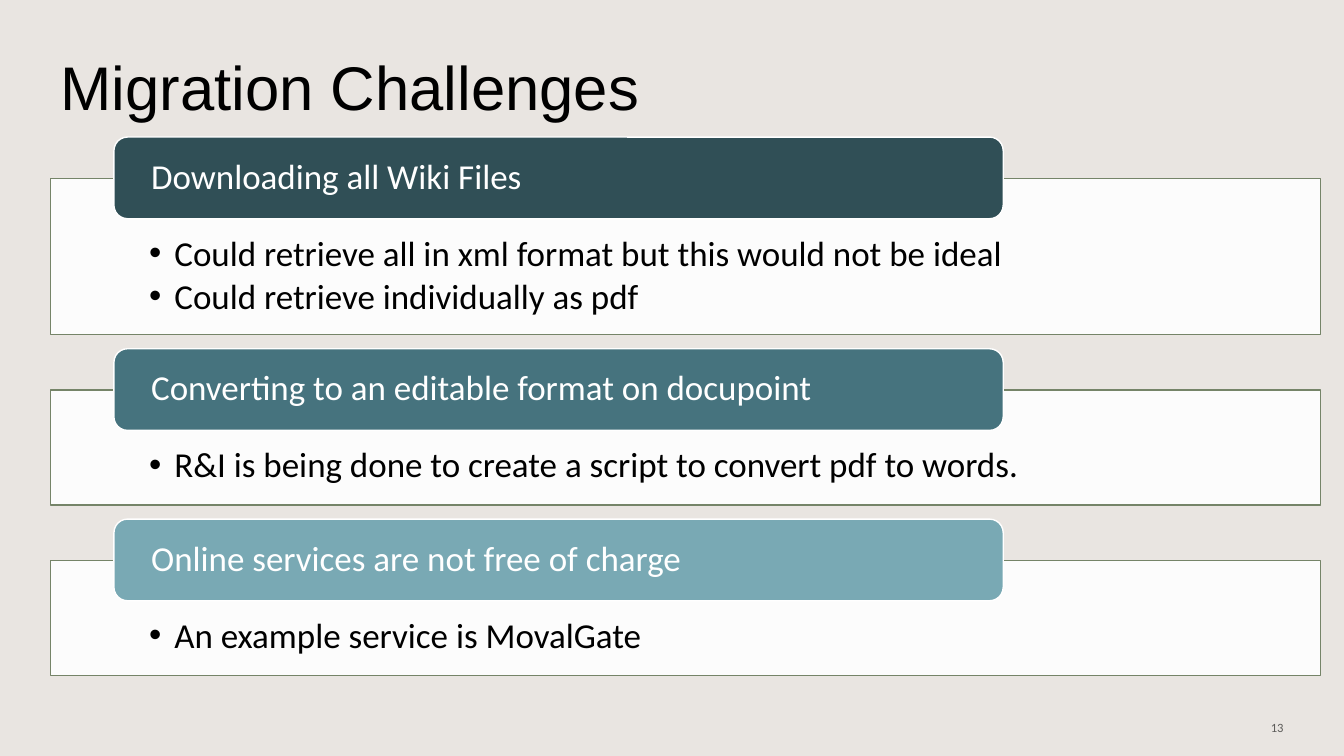
import pptx
import pptx.dml.color
import pptx.enum.shapes
import pptx.enum.text
import pptx.oxml
import pptx.oxml.ns
import pptx.util

RGBColor = pptx.dml.color.RGBColor
Inches = pptx.util.Inches
Pt = pptx.util.Pt
Shape = pptx.enum.shapes.MSO_SHAPE
Align = pptx.enum.text.PP_ALIGN
Anchor = pptx.enum.text.MSO_ANCHOR

SAND = RGBColor(0xE9, 0xE5, 0xE1)
WHITE = RGBColor(0xFF, 0xFF, 0xFF)
BLACK = RGBColor(0, 0, 0)
GREY = RGBColor(0x5D, 0x5C, 0x5A)
SAGE = RGBColor(0x75, 0x84, 0x68)
DARK_TEAL = RGBColor(0x30, 0x4F, 0x56)
TEAL = RGBColor(0x46, 0x73, 0x7E)
LIGHT_TEAL = RGBColor(0x79, 0xA9, 0xB4)

PAGE_WIDTH, PAGE_HEIGHT = 13.33, 7.5
LIST_BOX = (0.5, 1.36, 12.6)  # left, top, width
TAB_HEIGHT = 0.81
TAB_OVERHANG = 0.41
PANEL_HEIGHT = 1.14  # with one bullet
BULLET_PITCH = 0.41
SECTION_GAP = 0.14

CHALLENGES = [
    ("Downloading all Wiki Files", DARK_TEAL,
     ["Could retrieve all in xml format but this would not be ideal",
      "Could retrieve individually as pdf"]),
    ("Converting to an editable format on docupoint", TEAL,
     ["R&I is being done to create a script to convert pdf to words."]),
    ("Online services are not free of charge", LIGHT_TEAL,
     ["An example service is MovalGate"]),
]


def write(frame, lines, size=25, font="Calibri", color=BLACK, align=Align.LEFT,
          anchor=Anchor.MIDDLE, insets=(0.1, 0.05, 0.1, 0.05), spacing=0.9,
          after=0, bulleted=False):
    frame.word_wrap = True
    frame.auto_size = pptx.enum.text.MSO_AUTO_SIZE.NONE
    frame.vertical_anchor = anchor
    (frame.margin_left, frame.margin_top,
     frame.margin_right, frame.margin_bottom) = map(Inches, insets)
    for index, line in enumerate(lines):
        para = frame.add_paragraph() if index else frame.paragraphs[0]
        para.alignment = align
        para.line_spacing = spacing
        para.space_after = Pt(after)
        span = para.add_run()
        span.text = line
        span.font.size = Pt(size)
        span.font.name = font
        span.font.color.rgb = color
        if bulleted:
            add_bullet(para)


def add_bullet(para):
    properties = para._p.get_or_add_pPr()
    properties.set("marL", str(Inches(0.25)))
    properties.set("indent", str(-Inches(0.25)))
    namespace = pptx.oxml.ns.nsdecls("a")
    properties.append(pptx.oxml.parse_xml(f'<a:buFont {namespace} typeface="Arial"/>'))
    properties.append(pptx.oxml.parse_xml(f'<a:buChar {namespace} char="•"/>'))


def add_block(page, kind, box, fill, line, opacity=None):
    block = page.shapes.add_shape(kind, *map(Inches, box))
    block.shadow.inherit = False
    block.fill.solid()
    block.fill.fore_color.rgb = fill
    block.line.color.rgb = line
    block.line.width = Pt(1)
    if opacity is not None:
        color = block._element.spPr.find(".//" + pptx.oxml.ns.qn("a:srgbClr"))
        color.append(pptx.oxml.parse_xml(
            f'<a:alpha {pptx.oxml.ns.nsdecls("a")} val="{opacity * 1000}"/>'))
    return block


def add_challenge(page, left, top, width, heading, color, bullets):
    """Draw a panel with its overlapping tab; return the bottom of the panel."""
    panel_top = top + TAB_OVERHANG
    height = PANEL_HEIGHT + BULLET_PITCH * (len(bullets) - 1)
    panel = add_block(page, Shape.RECTANGLE, (left, panel_top, width, height),
                      WHITE, SAGE, opacity=90)
    write(panel.text_frame, bullets, anchor=Anchor.TOP, after=3.75,
          insets=(0.98, 0.57, 0.98, 0.19), bulleted=True)
    tab = add_block(page, Shape.ROUNDED_RECTANGLE,
                    (left + width * 0.05, top, width * 0.7, TAB_HEIGHT), color, WHITE)
    write(tab.text_frame, [heading], color=WHITE, insets=(0.33, 0, 0.33, 0))
    return panel_top + height


def add_challenge_list(page, left, top, width):
    for heading, color, bullets in CHALLENGES:
        bottom = add_challenge(page, left, top, width, heading, color, bullets)
        top = bottom + SECTION_GAP


def add_title(page, left, top, width, height):
    title = page.shapes.title
    title.left, title.top, title.width, title.height = map(
        Inches, (left, top, width, height))
    write(title.text_frame, ["Migration Challenges"], size=44, font="Arial")


def add_page_number(page, left, top, width, height):
    number = page.shapes.add_textbox(*map(Inches, (left, top, width, height)))
    write(number.text_frame, ["13"], size=9, color=GREY, align=Align.RIGHT, spacing=1)


def main():
    deck = pptx.Presentation()
    deck.slide_width, deck.slide_height = Inches(PAGE_WIDTH), Inches(PAGE_HEIGHT)
    page = deck.slides.add_slide(deck.slide_layouts.get_by_name("Title Only"))
    page.background.fill.solid()
    page.background.fill.fore_color.rgb = SAND
    add_title(page, 0.5, 0.17, 11.92, 1.45)
    add_challenge_list(page, *LIST_BOX)
    add_page_number(page, 9.83, 7.02, 3, 0.4)
    deck.save("out.pptx")


if __name__ == "__main__":
    main()
